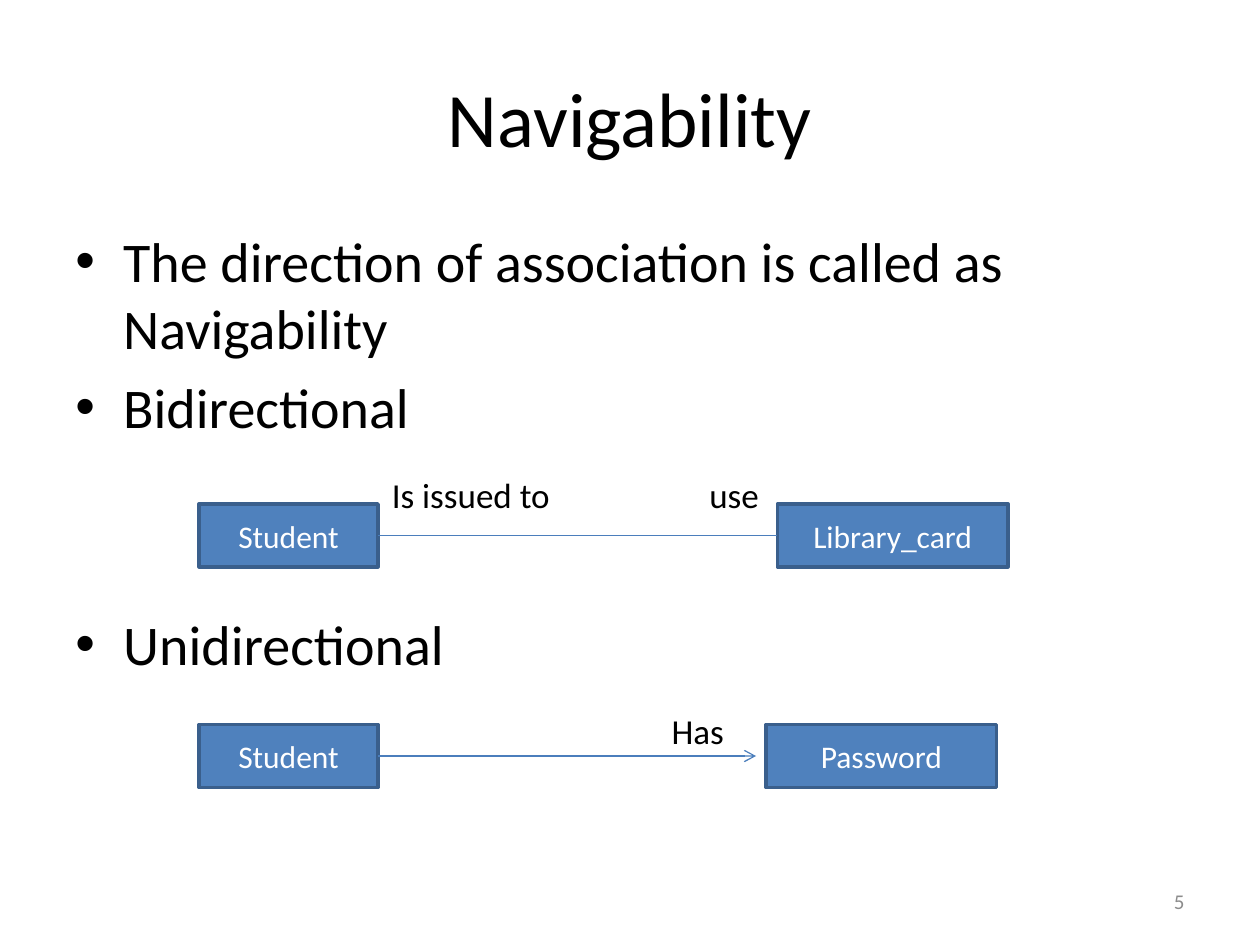
from dataclasses import dataclass

from lxml.etree import SubElement
from pptx import Presentation
from pptx.dml.color import RGBColor as Rgb
from pptx.enum.shapes import MSO_CONNECTOR as Conn, MSO_SHAPE as Shape
from pptx.enum.text import MSO_ANCHOR as Anchor, PP_ALIGN as Align
from pptx.oxml.ns import qn
from pptx.util import Inches, Pt


@dataclass(frozen=True)
class Theme:
    font: str = "Calibri"
    ink: str = "000000"
    light: str = "FFFFFF"
    gray: str = "8C8C8C"
    fill: str = "4F81BD"
    edge: str = "3A5F8C"
    link: str = "4B7EBC"
    title: int = 44
    body: int = 32
    label: int = 20
    node: int = 18
    foot: int = 12


@dataclass(frozen=True)
class Point:
    text: str
    before: float


@dataclass(frozen=True)
class Label:
    text: str
    left: float
    top: float
    width: float


@dataclass(frozen=True)
class Link:
    """A class pair joined by a line, with the labels above it."""
    top: float
    target: str
    left: float
    end: float
    arrow: bool
    labels: tuple[Label, ...]


THEME = Theme()
SOURCE, START, WIDE = 1.58, 3, 1.83
HIGH = 0.5
POINTS = (
    Point("The direction of association is called as Navigability", 0),
    Point("Bidirectional", 6.4),
    Point("Unidirectional", 97),
)
LINKS = (
    Link(4, "Library_card", 6.17, 6.17, False,
         (Label("Is issued to", 3.11, 3.76, 1.5), Label("use", 5.63, 3.76, 0.5))),
    Link(5.75, "Password", 6.08, 6, True, (Label("Has", 5.33, 5.63, 0.6),)),
)


def apply(item, values: dict) -> None:
    for name, value in values.items():
        setattr(item, name, value)


def style(para, size: int, color: str, align=Align.LEFT) -> None:
    para.alignment = align
    apply(para.font, {"name": THEME.font, "size": Pt(size)})
    para.font.color.rgb = Rgb.from_string(color)


def add_text(slide, box: tuple, text: str, size: int, color: str,
             align=Align.LEFT, anchor=Anchor.MIDDLE, pad: bool = True):
    frame = slide.shapes.add_textbox(*map(Inches, box)).text_frame
    apply(frame, {"word_wrap": True, "vertical_anchor": anchor})
    if not pad:
        sides = ("left", "top", "right", "bottom")
        apply(frame, {f"margin_{side}": 0 for side in sides})
    para = frame.paragraphs[0]
    para.text = text
    style(para, size, color, align)
    return frame


def add_points(slide, points: tuple[Point, ...]) -> None:
    frame = add_text(slide, (0.5, 1.75, 9, 4.95), points[0].text,
                     THEME.body, THEME.ink, anchor=Anchor.TOP)
    for i, point in enumerate(points):
        para = frame.add_paragraph() if i else frame.paragraphs[0]
        para.text = point.text
        para.space_before = Pt(point.before)
        props = para._p.get_or_add_pPr()
        props.set("marL", str(Inches(0.38)))
        props.set("indent", str(-Inches(0.38)))
        bullet = {"buFont": ("typeface", "Arial"), "buChar": ("char", "•")}
        for tag, (key, value) in bullet.items():
            SubElement(props, qn(f"a:{tag}")).set(key, value)
        style(para, THEME.body, THEME.ink)


def add_node(slide, left: float, top: float, width: float, text: str) -> None:
    box = map(Inches, (left, top, width, HIGH))
    node = slide.shapes.add_shape(Shape.RECTANGLE, *box)
    node.shadow.inherit = False
    node.fill.solid()
    node.fill.fore_color.rgb = Rgb.from_string(THEME.fill)
    node.line.color.rgb = Rgb.from_string(THEME.edge)
    node.line.width = Pt(2)
    node.text_frame.vertical_anchor = Anchor.MIDDLE
    para = node.text_frame.paragraphs[0]
    para.text = text
    style(para, THEME.node, THEME.light, Align.CENTER)


def add_line(slide, end: float, y: float, arrow: bool) -> None:
    ends = map(Inches, (START, y, end, y))
    line = slide.shapes.add_connector(Conn.STRAIGHT, *ends)
    line.line.color.rgb = Rgb.from_string(THEME.link)
    line.line.width = Pt(0.75)
    if arrow:
        SubElement(line.line._get_or_add_ln(), qn("a:tailEnd")).set("type", "arrow")
    SubElement(line._element.spPr, qn("a:effectLst"))


def add_link(slide, link: Link) -> None:
    add_node(slide, SOURCE, link.top, START - SOURCE, "Student")
    add_node(slide, link.left, link.top, WIDE, link.target)
    add_line(slide, link.end, link.top + HIGH / 2, link.arrow)
    for label in link.labels:
        add_text(slide, (label.left, label.top, label.width, 0.34), label.text,
                 THEME.label, THEME.ink, anchor=Anchor.TOP, pad=False)


def main() -> None:
    deck = Presentation()
    apply(deck, {"slide_width": Inches(10), "slide_height": Inches(7.5)})
    slide = deck.slides.add_slide(deck.slide_layouts[6])
    add_text(slide, (7.17, 6.95, 2.33, 0.4), "5",
             THEME.foot, THEME.gray, Align.RIGHT)
    add_text(slide, (0.5, 0.3, 9, 1.25), "Navigability",
             THEME.title, THEME.ink, Align.CENTER)
    add_points(slide, POINTS)
    for link in LINKS:
        add_link(slide, link)
    deck.save("out.pptx")


if __name__ == "__main__":
    main()
